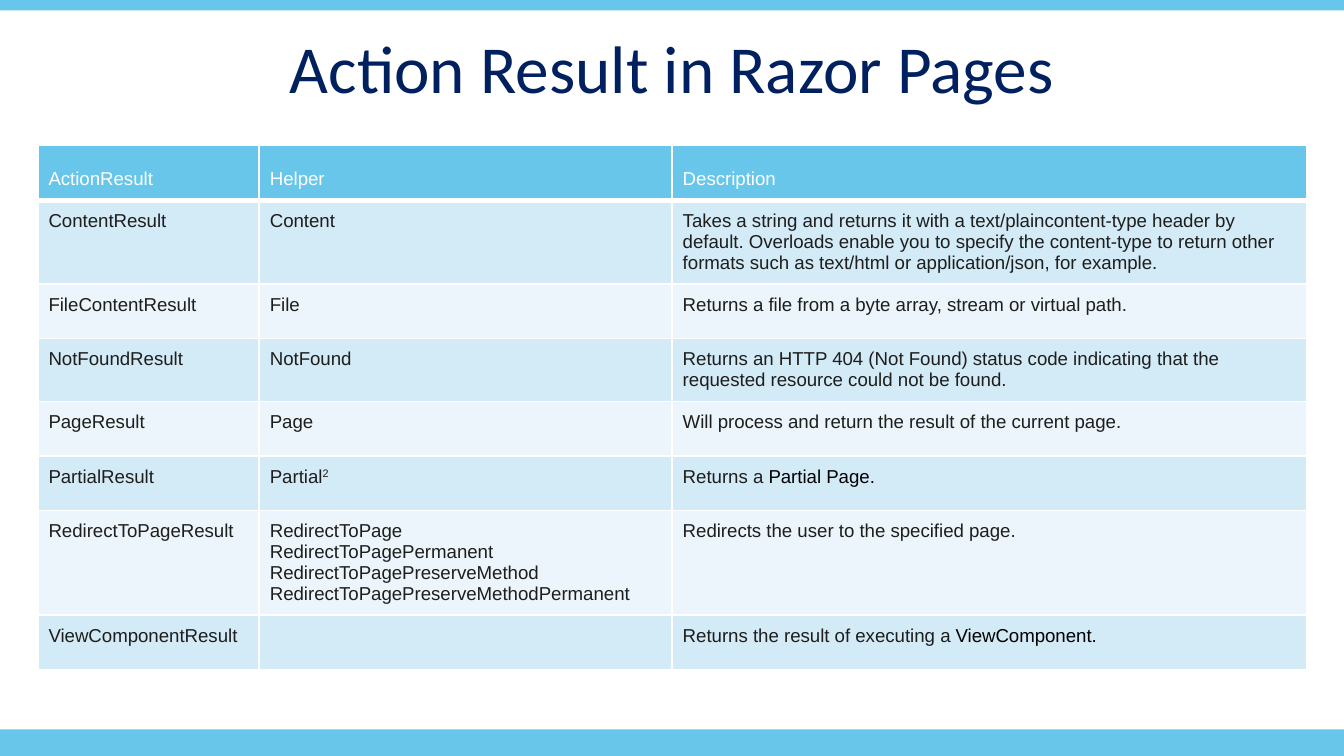
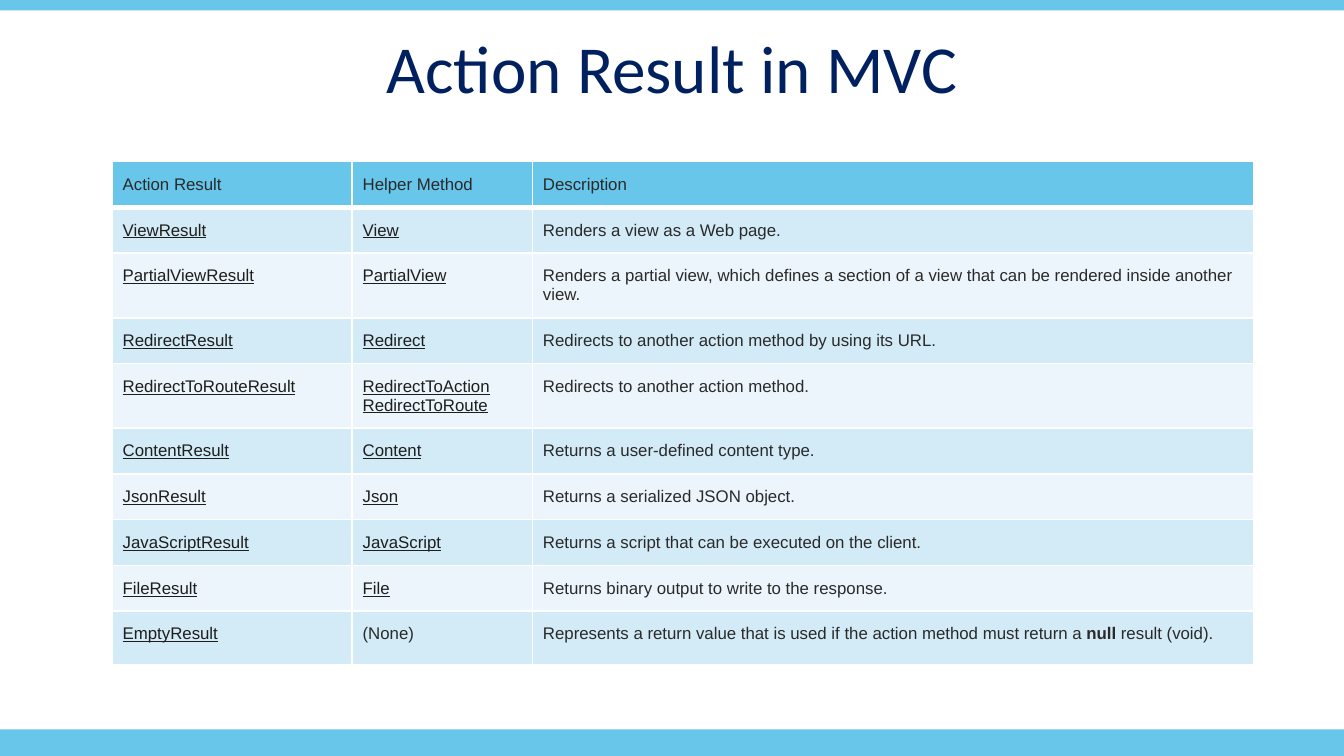
from lxml import etree
from pptx import Presentation
from pptx.dml.color import RGBColor
from pptx.enum.shapes import MSO_SHAPE
from pptx.enum.text import MSO_ANCHOR, MSO_AUTO_SIZE, PP_ALIGN
from pptx.oxml.ns import qn
from pptx.util import Pt

RECTANGLE = MSO_SHAPE.RECTANGLE
TOP, MIDDLE, BOTTOM = MSO_ANCHOR.TOP, MSO_ANCHOR.MIDDLE, MSO_ANCHOR.BOTTOM
CENTER = PP_ALIGN.CENTER
NO_AUTOFIT = MSO_AUTO_SIZE.NONE

WIDTH, HEIGHT = 720, 405
TITLE_ONLY = 5
COLORS = {
    "sky": "67C6EA",
    "navy": "002060",
    "white": "FFFFFF",
    "black": "000000",
    "ink": "1E1E1C",
    "charcoal": "2A2A2A",
    "row_odd": "D3EAF7",
    "row_even": "EBF5FB",
}


def rgb(name):
    return RGBColor.from_string(COLORS[name])


class Deck:
    title_font, table_font = "Calibri", "Arial"

    def __init__(self):
        self.prs = Presentation()
        self.prs.slide_width, self.prs.slide_height = Pt(WIDTH), Pt(HEIGHT)
        self.slide = None

    def new_slide(self, heading):
        layout = self.prs.slide_layouts[TITLE_ONLY]
        self.slide = self.prs.slides.add_slide(layout)
        self.band(0, 5.6)
        self.band(390.8, HEIGHT - 390.8)
        self.title(heading)

    def band(self, top, height):
        band = self.slide.shapes.add_shape(RECTANGLE, 0, Pt(top), Pt(WIDTH), Pt(height))
        band.shadow.inherit = False
        band.fill.solid()
        band.fill.fore_color.rgb = rgb("sky")
        band.line.fill.background()

    def title(self, heading):
        title = self.slide.shapes.title
        title.left, title.top, title.width, title.height = 0, Pt(10), Pt(WIDTH), Pt(45.4)
        frame = title.text_frame
        frame.text = heading
        frame.word_wrap = True
        frame.auto_size = NO_AUTOFIT
        frame.vertical_anchor = MIDDLE
        frame.margin_left = frame.margin_right = Pt(7.2)
        frame.margin_top = frame.margin_bottom = Pt(7.2)
        line = frame.paragraphs[0]
        line.alignment = CENTER
        line.line_spacing = 1.15
        self.font(line.runs[0], self.title_font, 36, "navy")

    def font(self, run, name, size, color):
        run.font.name = name
        run.font.size = Pt(size)
        run.font.bold = False
        run.font.color.rgb = rgb(color)

    def borders(self, cell, bottom):
        properties = cell._tc.get_or_add_tcPr()
        for side, width in (("L", 1), ("R", 1), ("T", 1), ("B", bottom)):
            line = etree.SubElement(properties, qn(f"a:ln{side}"), w=str(Pt(width)))
            fill = etree.SubElement(line, qn("a:solidFill"))
            etree.SubElement(fill, qn("a:srgbClr"), val=COLORS["white"])

    def cell(self, cell, content, size, color, padding, anchor):
        """Fill a cell with a string, or with a tuple of separately styled runs."""
        if not content:
            return
        first, *others = (content,) if isinstance(content, str) else content
        cell.text_frame.text = first
        for text in others:
            cell.text_frame.paragraphs[-1].add_run().text = text
        cell.margin_left = cell.margin_right = Pt(5.7)
        cell.margin_top = cell.margin_bottom = Pt(padding)
        cell.vertical_anchor = anchor
        for paragraph in cell.text_frame.paragraphs:
            for run in paragraph.runs:
                self.font(run, self.table_font, size, color)

    def table(self, rows, left, top, widths, heights, size, padding,
              header_color, header_anchor, body_color):
        frame = self.slide.shapes.add_table(
            len(rows), len(widths), Pt(left), Pt(top), Pt(sum(widths)), Pt(sum(heights)))
        table = frame.table
        table.horz_banding = False
        for column, width in zip(table.columns, widths):
            column.width = Pt(width)
        for r, (row, height) in enumerate(zip(rows, heights)):
            table.rows[r].height = Pt(height)
            header = r == 0
            fill = "sky" if header else "row_odd" if r % 2 else "row_even"
            for c, content in enumerate(row):
                cell = table.cell(r, c)
                self.borders(cell, 3 if header else 1)
                cell.fill.solid()
                cell.fill.fore_color.rgb = rgb(fill)
                self.cell(cell, content, size, header_color if header else body_color,
                          padding, header_anchor if header else TOP)
        return table


RAZOR_RESULTS = [
    ("ActionResult", "Helper", "Description"),
    ("ContentResult", "Content",
     "Takes a string and returns it with a text/plaincontent-type header by default. "
     "Overloads enable you to specify the content-type to return other formats such as "
     "text/html or application/json, for example."),
    ("FileContentResult", "File",
     "Returns a file from a byte array, stream or virtual path."),
    ("NotFoundResult", "NotFound",
     "Returns an HTTP 404 (Not Found) status code indicating that the requested "
     "resource could not be found."),
    ("PageResult", "Page", "Will process and return the result of the current page."),
    ("PartialResult", ("Partial", "2"), ("Returns a ", "Partial Page.")),
    ("RedirectToPageResult",
     "RedirectToPage\vRedirectToPagePermanent\vRedirectToPagePreserveMethod\v"
     "RedirectToPagePreserveMethodPermanent",
     "Redirects the user to the specified page."),
    ("ViewComponentResult", "",
     ("Returns the result of executing a ", "ViewComponent.")),
]

MVC_RESULTS = [
    ("Action Result", "Helper Method", "Description"),
    ("ViewResult", "View", "Renders a view as a Web page."),
    ("PartialViewResult", "PartialView",
     "Renders a partial view, which defines a section of a view that can be rendered "
     "inside another view."),
    ("RedirectResult", "Redirect", "Redirects to another action method by using its URL."),
    ("RedirectToRouteResult", "RedirectToAction\nRedirectToRoute",
     "Redirects to another action method."),
    ("ContentResult", "Content", "Returns a user-defined content type."),
    ("JsonResult", "Json", "Returns a serialized JSON object."),
    ("JavaScriptResult", "JavaScript", "Returns a script that can be executed on the client."),
    ("FileResult", "File", "Returns binary output to write to the response."),
    ("EmptyResult", "(None)",
     ("Represents a return value that is used if the action method must return a ",
      "null", " result (void).")),
]


def razor_slide(deck):
    deck.new_slide("Action Result in Razor Pages")
    results = deck.table(
        RAZOR_RESULTS, 20.3, 78, (118.6, 221.2, 340), [29.2] * len(RAZOR_RESULTS),
        10, 5.7, "white", BOTTOM, "ink")

    # Footnote mark and black terms
    footnote = results.cell(5, 1).text_frame.paragraphs[0].runs[1]
    footnote.font._element.set("baseline", "30000")
    for row in (5, 7):
        term = results.cell(row, 2).text_frame.paragraphs[0].runs[1]
        term.font.color.rgb = rgb("black")


def mvc_slide(deck):
    deck.new_slide("Action Result in MVC")
    results = deck.table(
        MVC_RESULTS, 60, 86.6, (128.6, 96.6, 386.4),
        (20, 20, 28.8, 20, 28.8, 20, 20, 24, 24, 28.8),
        9, 7.2, "charcoal", MIDDLE, "charcoal")

    # Underlined class and helper names
    for row in range(1, len(MVC_RESULTS)):
        for column in (0, 1):
            if MVC_RESULTS[row][column] == "(None)":
                continue
            for paragraph in results.cell(row, column).text_frame.paragraphs:
                for name in paragraph.runs:
                    name.font.underline = True
                    name.font.color.rgb = rgb("ink")

    # Bold keyword in the last description
    keyword = results.cell(len(MVC_RESULTS) - 1, 2).text_frame.paragraphs[0].runs[1]
    keyword.font.bold = True


def main():
    deck = Deck()
    razor_slide(deck)
    mvc_slide(deck)
    deck.prs.save("out.pptx")


if __name__ == "__main__":
    main()
